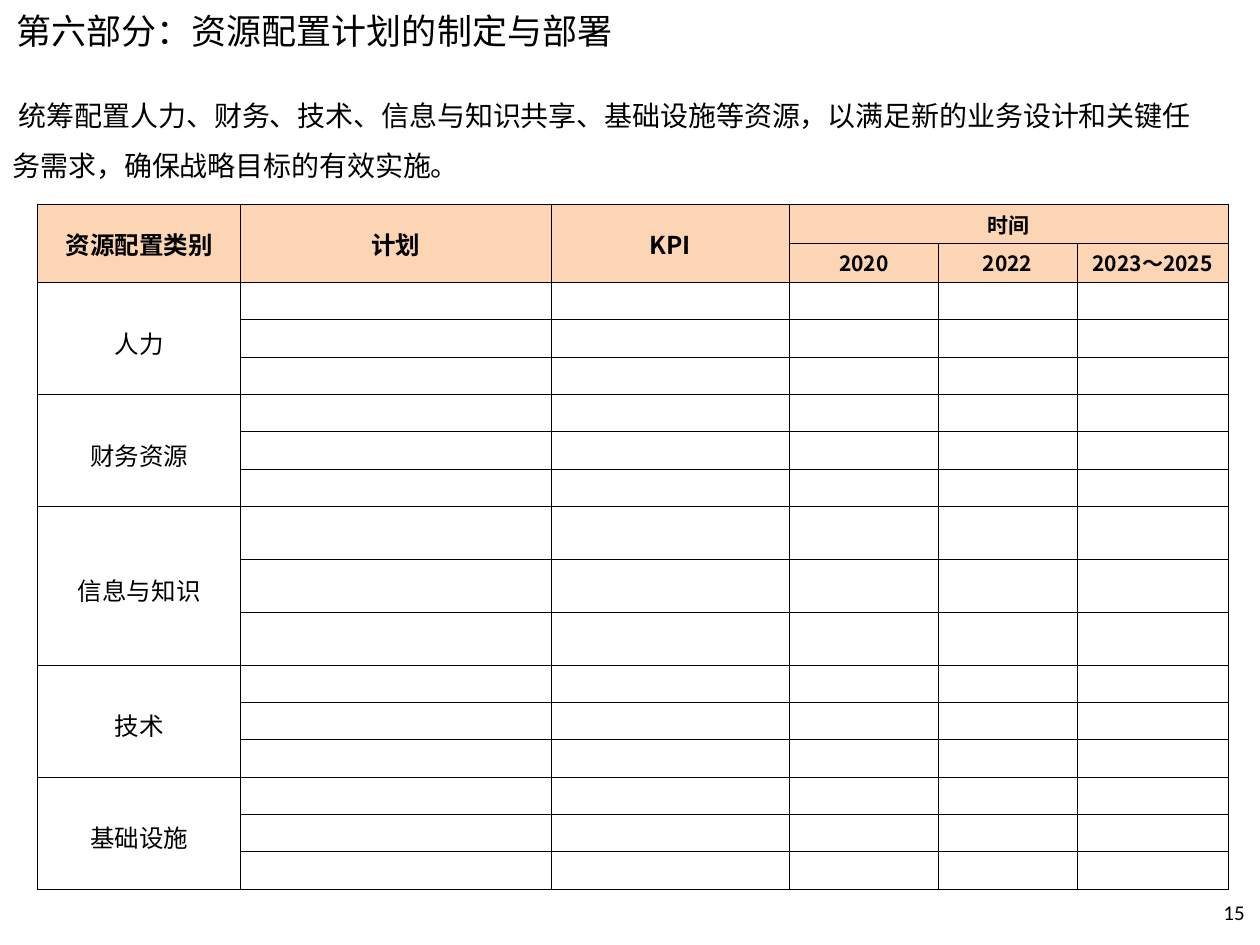
import pptx
import pptx.util
import pptx.dml.color
import pptx.enum.text
import pptx.oxml
import pptx.oxml.ns
from lxml import etree
from pptx.util import Inches

COLORS = {"text": "000000", "border": "000000", "header": "FCD5B4"}
FONT = "Noto Sans CJK SC"
ALIGN = pptx.enum.text.PP_ALIGN
MIDDLE = pptx.enum.text.MSO_ANCHOR.MIDDLE
CATEGORIES = ["人力", "财务资源", "信息与知识", "技术", "基础设施"]
HEADINGS = ["资源配置类别", "计划", "KPI"]
PERIODS = ["2020", "2022", "2023～2025"]
COLUMN_WIDTHS = [1.61, 2.46, 1.89, 1.18, 1.1, 1.2]
HEADER_ROWS = 2
ROWS_PER_CATEGORY = 3
HEADER_HEIGHT = 0.31
TALL_HEIGHT = 0.42
TALL_CATEGORY = "信息与知识"


def add_element(parent, tag, **attributes):
    return etree.SubElement(parent, pptx.oxml.ns.qn(tag), attributes)


def set_text(text_frame, text, size, bold=False, font=FONT, align=ALIGN.LEFT, spacing=1.0):
    text_frame.text = text
    paragraph = text_frame.paragraphs[0]
    paragraph.alignment = align
    paragraph.line_spacing = spacing
    paragraph.space_before = pptx.util.Pt(0)
    for run in paragraph.runs:
        run.font.size = pptx.util.Pt(size)
        run.font.bold = bold
        run.font.name = font
        run.font.color.rgb = pptx.dml.color.RGBColor.from_string(COLORS["text"])
        add_element(run.font._element, "a:ea", typeface=font)
    return paragraph


def place(shape, left, top, width, height):
    shape.left, shape.top = Inches(left), Inches(top)
    shape.width, shape.height = Inches(width), Inches(height)


def add_title(slide, left, top, width, height):
    title = slide.shapes.title
    place(title, left, top, width, height)
    title.text_frame.auto_size = pptx.enum.text.MSO_AUTO_SIZE.NONE
    title.text_frame.vertical_anchor = MIDDLE
    set_text(title.text_frame, "第六部分：资源配置计划的制定与部署", 20)


def add_introduction(slide, left, top, width, height):
    body = slide.placeholders[1]
    place(body, left, top, width, height)
    body.text_frame.auto_size = pptx.enum.text.MSO_AUTO_SIZE.NONE
    paragraph = set_text(
        body.text_frame,
        "统筹配置人力、财务、技术、信息与知识共享、基础设施等资源，"
        "以满足新的业务设计和关键任务需求，确保战略目标的有效实施。",
        16, spacing=1.5)
    properties = paragraph._p.get_or_add_pPr()
    properties.set("marL", "0")
    properties.set("indent", str(Inches(0.05)))
    add_element(properties, "a:buNone")


def format_cell(cell, is_header):
    """Clear the default style, then add thin borders and the header fill."""
    cell.vertical_anchor = MIDDLE
    cell.margin_left = cell.margin_right = cell.margin_top = Inches(0.01)
    cell.margin_bottom = 0
    properties = cell._tc.get_or_add_tcPr()
    for side in ("a:lnL", "a:lnR", "a:lnT", "a:lnB"):
        line = add_element(properties, side, w=str(pptx.util.Pt(0.5)))
        add_element(add_element(line, "a:solidFill"), "a:srgbClr", val=COLORS["border"])
    if is_header:
        cell.fill.solid()
        cell.fill.fore_color.rgb = pptx.dml.color.RGBColor.from_string(COLORS["header"])
    else:
        cell.fill.background()
    # Small empty paragraphs keep the rows from growing
    add_element(cell.text_frame.paragraphs[0]._p, "a:endParaRPr", sz="1000")


def set_row_heights(table, height):
    tall_rows = ROWS_PER_CATEGORY
    plain_rows = ROWS_PER_CATEGORY * (len(CATEGORIES) - 1)
    plain_height = (height - HEADER_ROWS * HEADER_HEIGHT - tall_rows * TALL_HEIGHT) / plain_rows
    for index, row in enumerate(table.rows):
        if index < HEADER_ROWS:
            row.height = Inches(HEADER_HEIGHT)
        else:
            category = CATEGORIES[(index - HEADER_ROWS) // ROWS_PER_CATEGORY]
            row.height = Inches(TALL_HEIGHT if category == TALL_CATEGORY else plain_height)


def add_resource_table(slide, left, top, width, height):
    row_count = HEADER_ROWS + ROWS_PER_CATEGORY * len(CATEGORIES)
    table = slide.shapes.add_table(
        row_count, len(COLUMN_WIDTHS),
        Inches(left), Inches(top), Inches(width), Inches(height)).table
    table.horz_banding = table.first_row = False
    for column, share in zip(table.columns, COLUMN_WIDTHS):
        column.width = Inches(width * share / sum(COLUMN_WIDTHS))
    set_row_heights(table, height)
    for row_index in range(row_count):
        for column_index in range(len(COLUMN_WIDTHS)):
            format_cell(table.cell(row_index, column_index), row_index < HEADER_ROWS)

    for index, heading in enumerate(HEADINGS):
        cell = table.cell(0, index)
        cell.merge(table.cell(HEADER_ROWS - 1, index))
        set_text(cell.text_frame, heading, 14, bold=True, align=ALIGN.CENTER)
    time_cell = table.cell(0, len(HEADINGS))
    time_cell.merge(table.cell(0, len(COLUMN_WIDTHS) - 1))
    set_text(time_cell.text_frame, "时间", 12, bold=True, align=ALIGN.CENTER)
    for index, period in enumerate(PERIODS, start=len(HEADINGS)):
        cell = table.cell(1, index)
        cell.margin_left = cell.margin_right = Inches(0.07)
        cell.margin_top = 0
        set_text(cell.text_frame, period, 12, bold=True, align=ALIGN.CENTER)
    for index, category in enumerate(CATEGORIES):
        first_row = HEADER_ROWS + index * ROWS_PER_CATEGORY
        cell = table.cell(first_row, 0)
        cell.merge(table.cell(first_row + ROWS_PER_CATEGORY - 1, 0))
        set_text(cell.text_frame, category, 14, align=ALIGN.CENTER, spacing=1.2)


def add_page_number(slide, left, top, width, height):
    box = slide.shapes.add_textbox(Inches(left), Inches(top), Inches(width), Inches(height))
    box.text_frame.word_wrap = True
    box.text_frame.vertical_anchor = MIDDLE
    set_text(box.text_frame, "15", 12, font="Calibri", align=ALIGN.CENTER)


def main():
    presentation = pptx.Presentation()
    presentation.slide_width, presentation.slide_height = Inches(10), Inches(7.5)
    slide = presentation.slides.add_slide(presentation.slide_layouts[1])
    add_title(slide, 0.03, 0.01, 8.2, 0.46)
    add_introduction(slide, 0, 0.6, 9.72, 0.91)
    add_resource_table(slide, 0.3, 1.62, 9.45, 5.44)
    add_page_number(slide, 9.48, 7.04, 0.63, 0.4)
    presentation.save("out.pptx")


if __name__ == "__main__":
    main()
